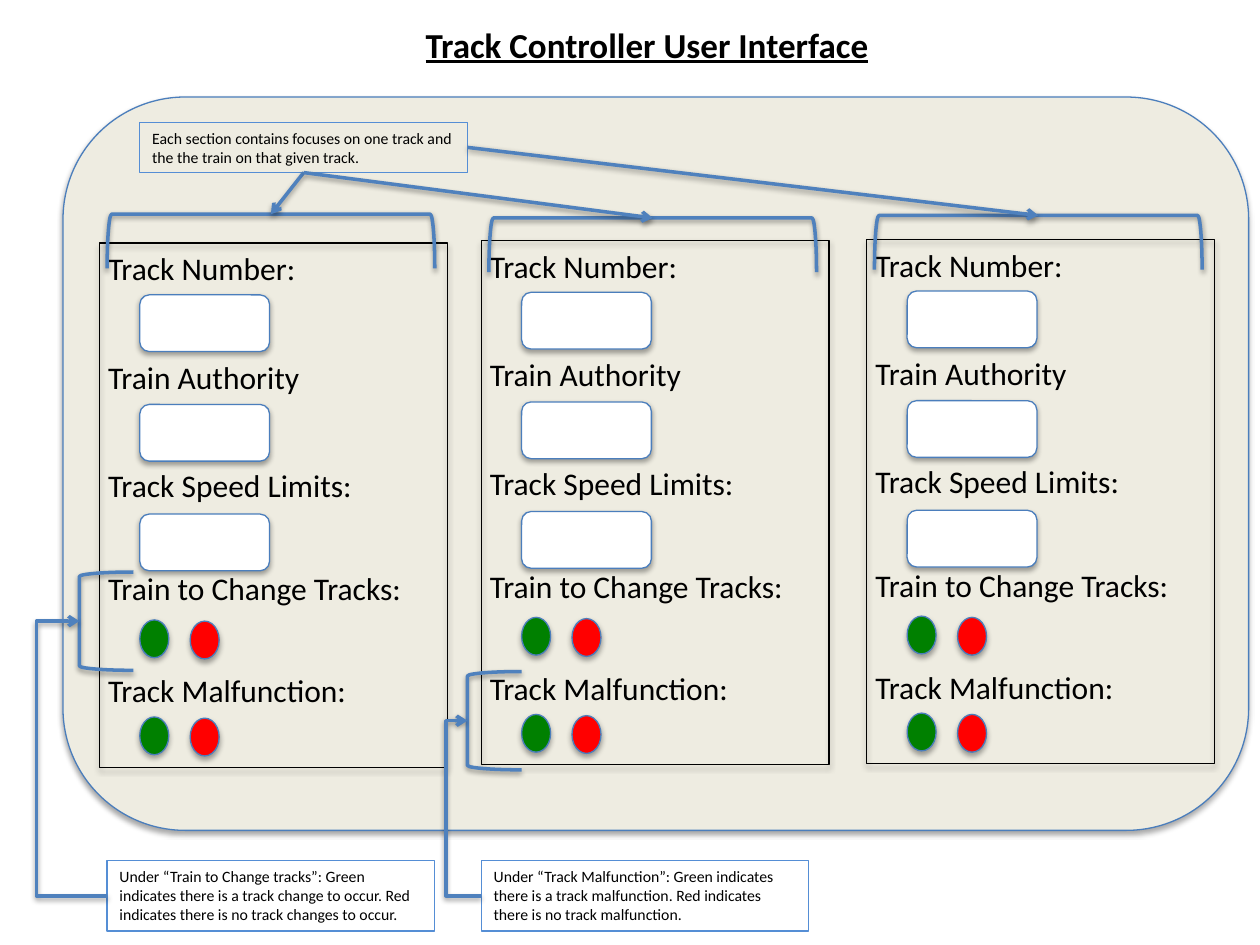
from lxml.etree import SubElement
from pptx import Presentation
from pptx.dml.color import RGBColor
from pptx.enum.shapes import MSO_CONNECTOR, MSO_SHAPE
from pptx.enum.text import MSO_ANCHOR, PP_ALIGN
from pptx.oxml.ns import qn
from pptx.util import Inches, Pt

BLACK = RGBColor(0x00, 0x00, 0x00)
WHITE = RGBColor(0xFF, 0xFF, 0xFF)
CREAM = RGBColor(0xEE, 0xEC, 0xE1)
GREEN = RGBColor(0x00, 0x80, 0x00)
RED = RGBColor(0xFF, 0x00, 0x00)
OUTLINE = RGBColor(0x4B, 0x7E, 0xBC)
CALLOUT = RGBColor(0x4F, 0x81, 0xBD)
NOTE_EDGE = RGBColor(0x55, 0x8E, 0xD5)

LABELS = [("Track Number:", 0), ("Train Authority", 0.86), ("Track Speed Limits:", 1.72),
          ("Train to Change Tracks:", 2.54), ("Track Malfunction:", 3.35)]
FIELD_TOPS = [0.41, 1.28, 2.15]
LIGHT_TOPS = [2.99, 3.76]
PANELS = [(0.79, 1.93), (3.82, 1.91), (6.88, 1.9)]
BRACKET_TIPS = [(2.15, 1.7), (5.18, 1.73), (8.24, 1.71)]
BRACKET_DEPTH = 0.43


def add_shadow(shape, opacity, distance):
    """Give a shape or connector a soft shadow that falls straight down."""
    effects = SubElement(shape._element.spPr, qn("a:effectLst"))
    shadow = SubElement(effects, qn("a:outerShdw"), blurRad=str(Pt(3.1)),
                        dist=str(Pt(distance)), dir="5400000", rotWithShape="0")
    color = SubElement(shadow, qn("a:srgbClr"), val="000000")
    SubElement(color, qn("a:alpha"), val=str(opacity * 1000))


def add_box(page, kind, box, fill=None, line=OUTLINE, shadow=True):
    """Draw a thin-outlined shape in the given box."""
    shape = page.shapes.add_shape(kind, *map(Inches, box))
    if fill is None:
        shape.fill.background()
    else:
        shape.fill.solid()
        shape.fill.fore_color.rgb = fill
    shape.line.color.rgb = line
    shape.line.width = Pt(0.75)
    if shadow:
        add_shadow(shape, 35, 1.8)
    else:
        shape.shadow.inherit = False
    return shape


def write_text(shape, text, size, align=PP_ALIGN.LEFT, anchor=MSO_ANCHOR.TOP):
    """Write one black paragraph and return it."""
    frame = shape.text_frame
    frame.word_wrap = True
    frame.vertical_anchor = anchor
    para = frame.paragraphs[0]
    para.text = text
    para.alignment = align
    para.font.name = "Calibri"
    para.font.size = Pt(size)
    para.font.color.rgb = BLACK
    return para


def add_title(page, box):
    """Place the underlined slide title."""
    title = page.shapes.title
    title.left, title.top, title.width, title.height = map(Inches, box)
    para = write_text(title, "Track Controller User Interface", 20,
                      PP_ALIGN.CENTER, MSO_ANCHOR.MIDDLE)
    para.font.bold = True
    para.font.underline = True


def add_panel(page, left, top):
    """Draw one track section with labels, fields and lights."""
    for text, offset in LABELS:
        label = page.shapes.add_textbox(*map(Inches, (left - 0.03, top + offset, 2.64, 0.4)))
        write_text(label, text, 18)
    for offset in LIGHT_TOPS:
        add_box(page, MSO_SHAPE.OVAL, (left + 0.32, top + offset, 0.23, 0.3), GREEN)
        add_box(page, MSO_SHAPE.OVAL, (left + 0.72, top + offset + 0.01, 0.23, 0.3), RED)
    for offset in FIELD_TOPS:
        add_box(page, MSO_SHAPE.ROUNDED_RECTANGLE,
                (left + 0.32, top + offset, 1.03, 0.45), WHITE)
    add_box(page, MSO_SHAPE.RECTANGLE, (left, top, 2.76, 4.16), line=BLACK)


def add_note(page, text, box):
    """Draw an outlined explanatory note."""
    note = add_box(page, MSO_SHAPE.RECTANGLE, box, line=NOTE_EDGE, shadow=False)
    write_text(note, text, 9)


def style_callout(shape):
    """Apply the heavy blue callout line and its shadow."""
    shape.line.color.rgb = CALLOUT
    shape.line.width = Pt(2)
    add_shadow(shape, 38, 1.6)


def add_bracket(page, tip, length, rotation=0):
    """Draw a bracket whose spine is centred on the tip, opening right or down."""
    x, y = tip
    half = BRACKET_DEPTH / 2
    center_x, center_y = (x, y + half) if rotation else (x + half, y)
    bracket = page.shapes.add_shape(
        MSO_SHAPE.LEFT_BRACKET, Inches(center_x - half), Inches(center_y - length / 2),
        Inches(BRACKET_DEPTH), Inches(length))
    bracket.rotation = rotation
    bracket.fill.background()
    style_callout(bracket)


def add_arrow(page, start, end, route_x=None):
    """Draw an arrow, straight or bent through a vertical run at route_x."""
    kind = MSO_CONNECTOR.STRAIGHT if route_x is None else MSO_CONNECTOR.ELBOW
    arrow = page.shapes.add_connector(kind, *map(Inches, start + end))
    style_callout(arrow)
    SubElement(arrow.line._get_or_add_ln(), qn("a:tailEnd"), type="arrow")
    if route_x is not None:
        bend = round((route_x - start[0]) / (end[0] - start[0]) * 100000)
        guides = arrow._element.spPr.find(qn("a:prstGeom")).get_or_add_avLst()
        SubElement(guides, qn("a:gd"), name="adj1", fmla=f"val {bend}")


def add_notes_and_callouts(page):
    """Place the notes and point them at the parts they explain."""
    add_note(page, "Each section contains focuses on one track and the the train "
             "on that given track.", (1.11, 0.97, 2.6, 0.4))
    add_note(page, "Under “Train to Change tracks”: Green indicates there is a track change "
             "to occur. Red indicates there is no track changes to occur.",
             (0.85, 6.83, 2.6, 0.56))
    add_note(page, "Under “Track Malfunction”: Green indicates there is a track malfunction. "
             "Red indicates there is no track malfunction.", (3.82, 6.83, 2.6, 0.56))
    for start, tip, route_x in [((0.85, 7.11), (0.63, 4.93), 0.29),
                                ((3.82, 7.11), (3.71, 5.72), 3.54)]:
        add_bracket(page, tip, 0.78)
        add_arrow(page, start, tip, route_x)
    for start, tip in zip([(2.41, 1.37), (2.41, 1.37), (3.71, 1.17)], BRACKET_TIPS):
        add_bracket(page, tip, 2.6, 90)
        add_arrow(page, start, tip)


def build_page(deck):
    """Build the track controller slide."""
    page = deck.slides.add_slide(deck.slide_layouts[5])
    add_title(page, (1.34, 0.13, 7.59, 0.44))
    add_box(page, MSO_SHAPE.ROUNDED_RECTANGLE, (0.5, 0.77, 9.41, 5.82), CREAM)
    for left, top in PANELS:
        add_panel(page, left, top)
    add_notes_and_callouts(page)


deck = Presentation()
deck.slide_width = Inches(10)
deck.slide_height = Inches(7.5)
build_page(deck)
deck.save("out.pptx")
